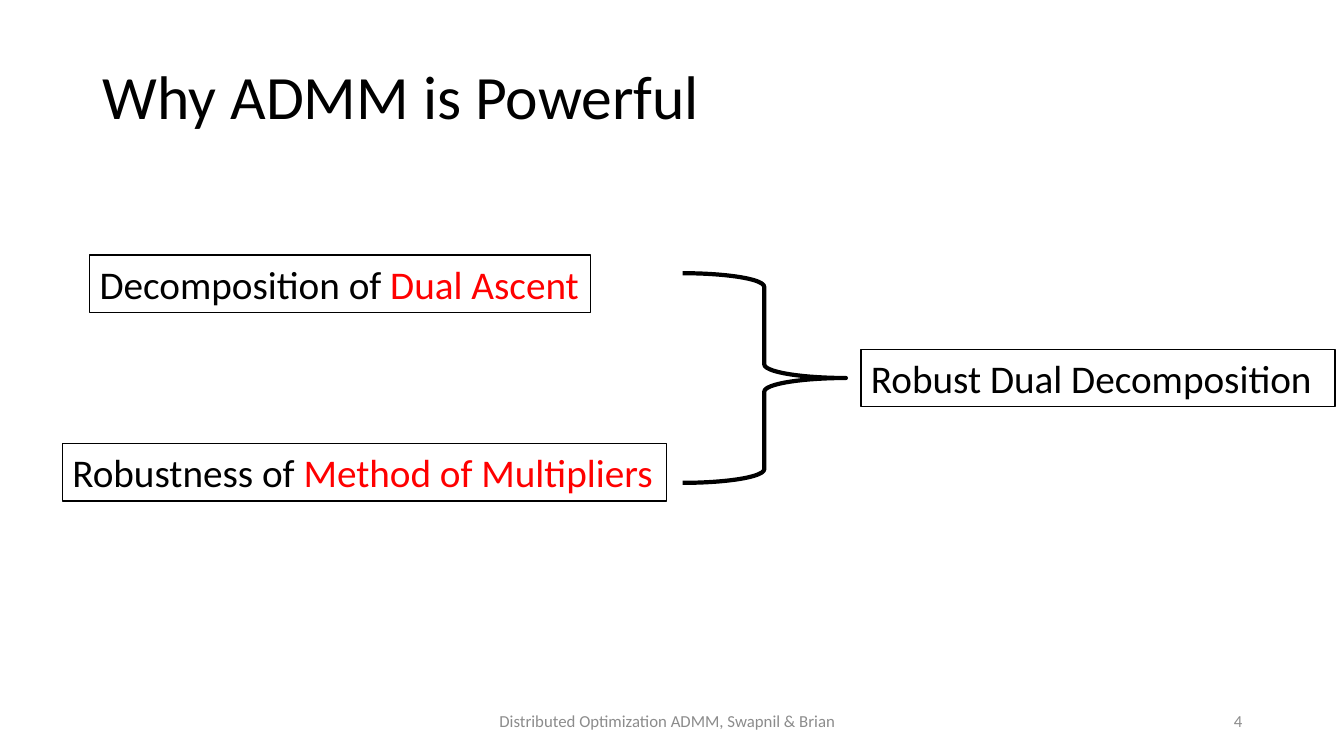
from pptx import Presentation
from pptx.dml.color import RGBColor
from pptx.enum.shapes import MSO_SHAPE
from pptx.enum.text import MSO_ANCHOR, PP_ALIGN
from pptx.util import Inches, Pt

WIDE, HIGH = Inches(13.33), Inches(7.5)
COL, ROW = WIDE / 100, HIGH / 100
BLACK, WHITE, RED, GRAY = "000000", "FFFFFF", "FF0000", "8C8C8C"


def color(code):
    return RGBColor.from_string(code)


def place(box):
    x, y, w, h = box
    return int(x * COL), int(y * ROW), int(w * COL), int(h * ROW)


def within(box, x, y, w, h):
    return box[0] + x, box[1] + y, w, h


def write(shape, *parts, size=28, tint=BLACK, align=PP_ALIGN.LEFT,
          anchor=MSO_ANCHOR.TOP, lead=1.0, right=0.1):
    frame = shape.text_frame
    frame.word_wrap = True
    frame.vertical_anchor = anchor
    frame.margin_right = Inches(right)
    para = frame.paragraphs[0]
    para.alignment = align
    para.line_spacing = lead
    for text, shade in parts:
        run = para.add_run()
        run.text = text
        run.font.name = "Calibri"
        run.font.size = Pt(size)
        run.font.color.rgb = color(shade or tint)


def draw(slide, kind, box, fill=WHITE, line=BLACK, weight=1):
    shape = slide.shapes.add_shape(kind, *place(box))
    shape.shadow.inherit = False
    if fill:
        shape.fill.solid()
        shape.fill.fore_color.rgb = color(fill)
    else:
        shape.fill.background()
    shape.line.color.rgb = color(line)
    shape.line.width = Pt(weight)
    return shape


def title(slide, box):
    shape = draw(slide, MSO_SHAPE.RECTANGLE, box, line=WHITE)
    write(shape, ("Why ADMM is Powerful", None), size=44,
          anchor=MSO_ANCHOR.MIDDLE, lead=0.9)


def diagram(slide, box):
    high, label, span = box[3], 7.6, 27.73
    labels = [
        (2.03, 0, 37.28, [("Decomposition of ", None), ("Dual Ascent", RED)]),
        (0, high - label, 44.94,
         [("Robustness of ", None), ("Method of Multipliers", RED)]),
        (59.42, (high - label) / 2, 35.26,
         [("Robust Dual Decomposition", None)]),
    ]
    for x, y, wide, parts in labels:
        part = within(box, x, y, wide, label)
        write(draw(slide, MSO_SHAPE.RECTANGLE, part), *parts)
    brace = within(box, 46.14, (high - span) / 2, 12.15, span)
    draw(slide, MSO_SHAPE.RIGHT_BRACE, brace, fill=None, weight=3)


def footer(slide, box):
    notes = [
        (37.51, 22.5, "4", PP_ALIGN.RIGHT, 0.1),
        (0, 33.76, "Distributed Optimization ADMM, Swapnil & Brian",
         PP_ALIGN.CENTER, 0.2),
    ]
    for x, wide, text, align, right in notes:
        part = within(box, x, 0, wide, box[3])
        shape = slide.shapes.add_textbox(*place(part))
        write(shape, (text, None), size=12, tint=GRAY, align=align,
              anchor=MSO_ANCHOR.MIDDLE, right=right)


def main():
    deck = Presentation()
    deck.slide_width, deck.slide_height = WIDE, HIGH
    slide = deck.slides.add_slide(deck.slide_layouts[6])
    slide.background.fill.solid()
    slide.background.fill.fore_color.rgb = color(WHITE)
    title(slide, (6.9, 5.33, 47.4, 15.73))
    diagram(slide, (4.65, 33.73, 94.68, 32.54))
    footer(slide, (33.16, 92.67, 60.01, 5.33))
    deck.save("out.pptx")


if __name__ == "__main__":
    main()
